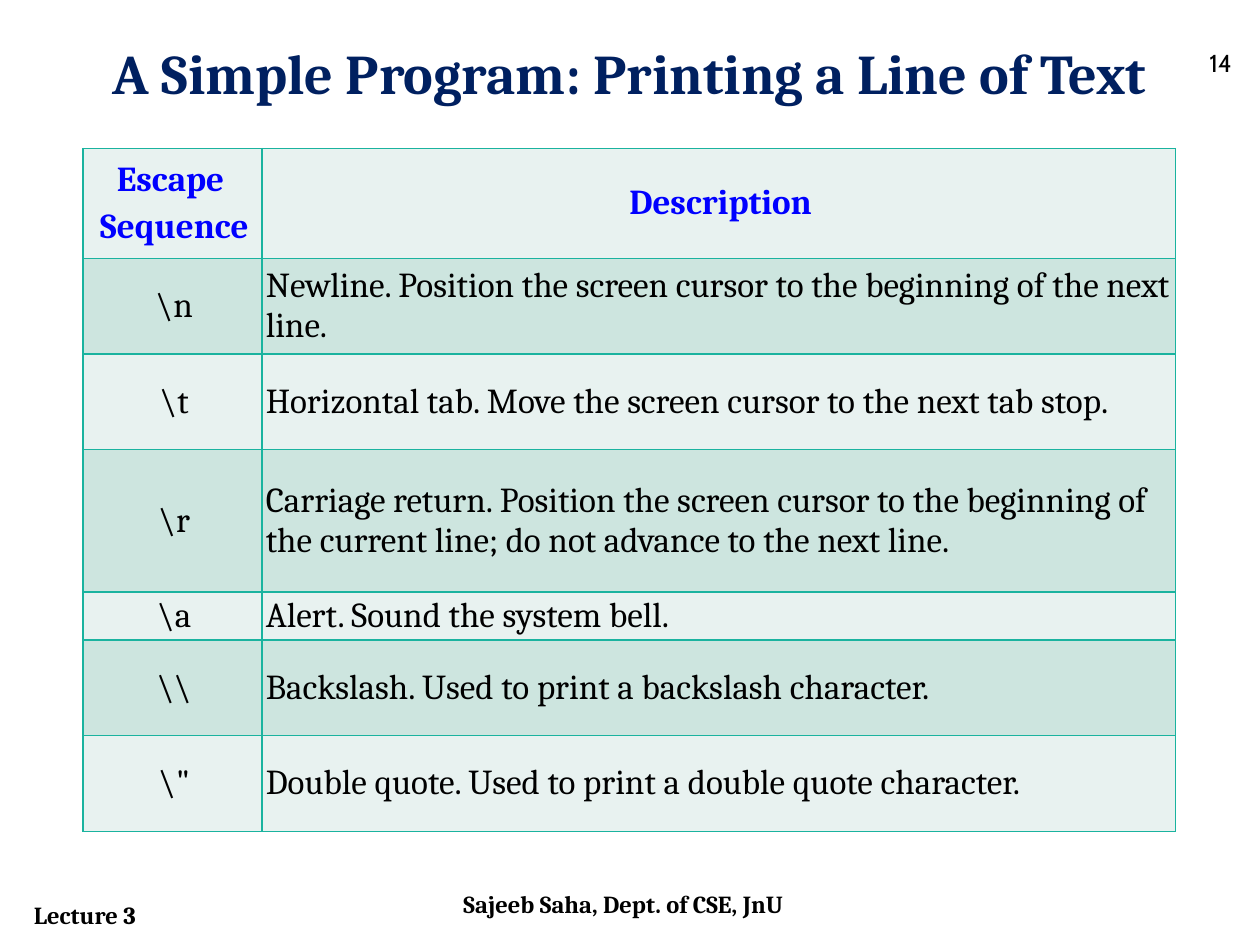
from lxml.etree import SubElement as Sub
from pptx import Presentation
from pptx.dml.color import RGBColor
from pptx.enum.text import MSO_ANCHOR as Anchor, PP_ALIGN as Align
from pptx.oxml.ns import qn
from pptx.util import Inches, Pt


def color(code):
    return RGBColor.from_string(code)


def style(frame, font, code, para):
    for item in frame.paragraphs:
        for key, val in para.items():
            setattr(item, key, val)
        for run in item.runs:
            for key, val in font.items():
                setattr(run.font, key, val)
            run.font.color.rgb = color(code)


deck = Presentation()
deck.slide_width, deck.slide_height = Inches(10), Inches(7.5)
slide = deck.slides.add_slide(deck.slide_layouts[5])

title = slide.shapes.title
place = {"left": 0.5, "top": 0.23, "width": 9, "height": 0.68}
for key, val in place.items():
    setattr(title, key, Inches(val))
title.text_frame.text = "A Simple Program: Printing a Line of Text"
title.text_frame.vertical_anchor = Anchor.MIDDLE
style(title.text_frame, {"name": "Cambria", "size": Pt(32), "bold": True},
      "002060", {"alignment": Align.CENTER})

rows = [
    ("Escape \nSequence", "Description", 0.87),
    (r"\n", "Newline. Position the screen cursor to the beginning of the next line.", 0.76),
    (r"\t", "Horizontal tab. Move the screen cursor to the next tab stop.", 0.76),
    (r"\r", "Carriage return. Position the screen cursor to the beginning of "
            "the current line; do not advance to the next line.", 1.13),
    (r"\a", "Alert. Sound the system bell.", 0.38),
    (r"\\", "Backslash. Used to print a backslash character.", 0.76),
    (r'\"', "Double quote. Used to print a double quote character.", 0.76),
]
table = slide.shapes.add_table(len(rows), 2, Inches(0.66), Inches(1.18),
                               Inches(8.67), Inches(5.42)).table
for col, width in zip(table.columns, (1.42, 7.25)):
    col.width = Inches(width)

box = {"margin_left": 0, "margin_right": 0, "margin_top": 0,
       "margin_bottom": 0, "vertical_anchor": Anchor.MIDDLE}
for r, (code, text, height) in enumerate(rows):
    table.rows[r].height = Inches(height)
    head = r == 0
    for c, words in enumerate((code, text)):
        cell = table.cell(r, c)
        for key, val in box.items():
            setattr(cell, key, val)
        frame = cell.text_frame
        frame.text = words
        side = Align.CENTER if head or c == 0 else Align.LEFT
        style(frame, {"name": "Cambria", "size": Pt(20), "bold": head},
              "0000FF" if head else "000000",
              {"alignment": side, "space_before": Pt(3.2), "space_after": Pt(0.8)})
        for para in frame.paragraphs:
            para._p.get_or_add_pPr().set("marL", str(Inches(0.03)))
        props = cell._tc.get_or_add_tcPr()
        for edge in ("lnL", "lnR", "lnT", "lnB"):
            line = Sub(props, qn(f"a:{edge}"), w=str(Pt(1)))
            Sub(Sub(line, qn("a:solidFill")), qn("a:srgbClr"), val="1AB39F")
        cell.fill.solid()
        cell.fill.fore_color.rgb = color("CDE5DF" if r % 2 else "E8F2F0")

notes = [
    ("Lecture 3", 0.17, 7.09, 2, 0.34, "Cambria", True),
    ("Sajeeb Saha, Dept. of CSE, JnU", 3.58, 7.01, 2.83, 0.4, "Cambria", True),
    ("14", 9.5, 0.33, 0.42, 0.4, "Cabin", False),
]
for text, x, y, w, h, face, bold in notes:
    frame = slide.shapes.add_textbox(Inches(x), Inches(y), Inches(w), Inches(h)).text_frame
    frame.word_wrap = True
    frame.text = text
    style(frame, {"name": face, "size": Pt(14), "bold": bold}, "000000", {})

deck.save("out.pptx")
